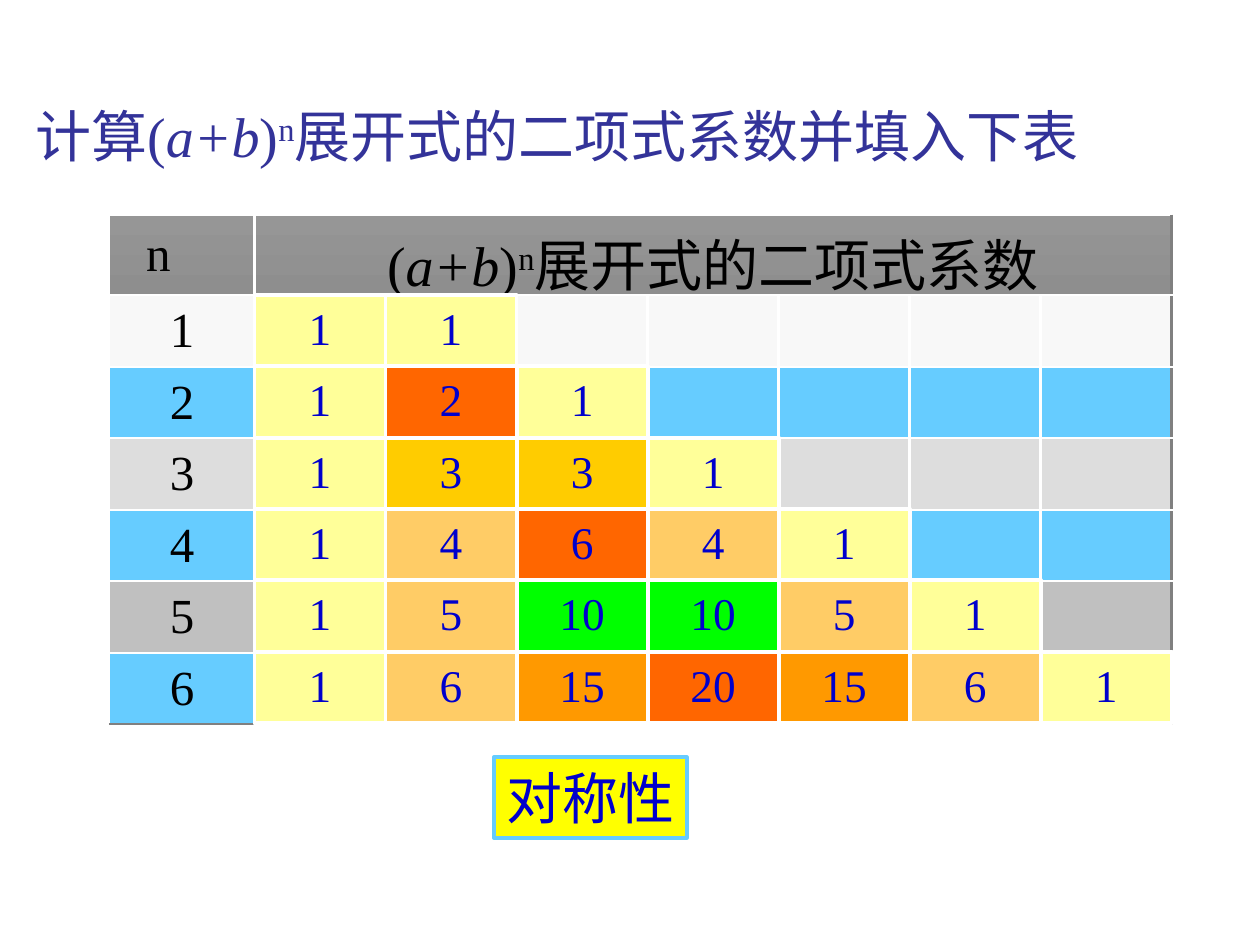
"""Build a slide that tabulates the binomial coefficients of (a+b)^n."""
import math

import pptx
import pptx.dml.color
import pptx.enum.shapes
import pptx.enum.text
import pptx.oxml
import pptx.oxml.ns
import pptx.util

THEME = {
    "font": "Times New Roman",
    "title": "333399", "ink": "000000", "number": "0000CC",
    "white": "FFFFFF", "frame": "808080", "blue": "66CCFF", "note": "FFFF00",
    "header": ("969696", "8E8E8E"),
    "title_size": 32, "index_size": 28, "number_size": 25.9,
    "border": 1.47, "outline": 2.25,
}
POWER = (("(", None), ("a+b", "italic"), (")", None), ("n", "raised"))
TITLE = (("计算", None),) + POWER + (("展开式的二项式系数并填入下表", None),)
HEADING = POWER + (("展开式的二项式系数", None),)
NOTE = (("对称性", None),)
ROW_FILLS = ("F8F8F8", "66CCFF", "DDDDDD", "66CCFF", "C0C0C0", "66CCFF")
HALF_ROW_COLOURS = {
    1: ("FFFF99",),
    2: ("FFFF99", "FF6600"),
    3: ("FFFF99", "FFCC00"),
    4: ("FFFF99", "FFCC66", "FF6600"),
    5: ("FFFF99", "FFCC66", "00FF00"),
    6: ("FFFF99", "FFCC66", "FF9900", "FF6600"),
}
LEFT, TOP = 0.87, 1.71
INDEX_WIDTH, COLUMN_WIDTH, COLUMNS = 1.15, 1.04, 7
HEADER_HEIGHT, BODY_HEIGHT = 0.63, 3.4
ROWS = len(ROW_FILLS)
ROW_HEIGHT = BODY_HEIGHT / ROWS
CENTER = pptx.enum.text.PP_ALIGN.CENTER
MIDDLE = pptx.enum.text.MSO_ANCHOR.MIDDLE
RECTANGLE = pptx.enum.shapes.MSO_SHAPE.RECTANGLE


def inches(*lengths):
    return [pptx.util.Inches(length) for length in lengths]


def rgb(value):
    return pptx.dml.color.RGBColor.from_string(value)


def write(frame, spans, size, colour, align=None):
    para = frame.paragraphs[0]
    para.alignment = align
    para.font.name = THEME["font"]
    para.font.size = pptx.util.Pt(size)
    para.font.color.rgb = rgb(colour)
    for text, style in spans:
        span = para.add_run()
        span.text = text
        if style == "italic":
            span.font.italic = True
        elif style == "raised":
            span._r.get_or_add_rPr().set("baseline", "30000")
    return para


def add_box(shapes, place, fill, line):
    box = shapes.add_shape(RECTANGLE, *inches(*place))
    box.shadow.inherit = False
    box.fill.solid()
    box.fill.fore_color.rgb = rgb(fill)
    box.line.color.rgb = rgb(line)
    box.line.width = pptx.util.Pt(THEME["outline"])
    return box


def set_borders(cell, row, column):
    sides = {"R": "frame" if column == COLUMNS else "white",
             "B": "frame" if row == ROWS else "white"}
    if row:
        sides["T"] = "white"
    if column:
        sides["L"] = "white"
    width = pptx.util.Pt(THEME["border"])
    for side in (name for name in "LRTB" if name in sides):
        cell._tc.get_or_add_tcPr().append(pptx.oxml.parse_xml(
            f'<a:ln{side} {pptx.oxml.ns.nsdecls("a")} w="{width}"><a:solidFill>'
            f'<a:srgbClr val="{THEME[sides[side]]}"/></a:solidFill></a:ln{side}>'))


def set_fill(cell, row):
    if row:
        cell.fill.solid()
        cell.fill.fore_color.rgb = rgb(ROW_FILLS[row - 1])
        return
    cell.fill.gradient()
    cell.fill.gradient_angle = 270
    for stop, colour in zip(cell.fill.gradient_stops, THEME["header"]):
        stop.color.rgb = rgb(colour)


def add_grid(page):
    width = INDEX_WIDTH + COLUMNS * COLUMN_WIDTH
    grid = page.shapes.add_table(ROWS + 1, COLUMNS + 1, *inches(
        LEFT, TOP, width, HEADER_HEIGHT + BODY_HEIGHT)).table
    grid.first_row = grid.horz_banding = False
    for column, track in enumerate(grid.columns):
        track.width = pptx.util.Inches(COLUMN_WIDTH if column else INDEX_WIDTH)
    for row, track in enumerate(grid.rows):
        track.height = pptx.util.Inches(ROW_HEIGHT if row else HEADER_HEIGHT)
        for column in range(COLUMNS + 1):
            cell = grid.cell(row, column)
            cell.vertical_anchor = MIDDLE
            last = COLUMNS if row == 0 and column else column
            set_borders(cell, row, last)
            set_fill(cell, row)
        index = grid.cell(row, 0)
        write(index.text_frame, ((str(row) if row else "n", None),),
              THEME["index_size"], THEME["ink"], CENTER if row else None)
    grid.cell(0, 0).margin_left = pptx.util.Inches(0.29)
    grid.cell(0, 1).merge(grid.cell(0, COLUMNS))
    write(grid.cell(0, 1).text_frame, HEADING, THEME["title_size"],
          THEME["ink"], CENTER)


def add_coefficients(page):
    for power in range(ROWS, 0, -1):
        group = page.shapes.add_group_shape()
        top = TOP + HEADER_HEIGHT + (power - 1) * ROW_HEIGHT
        for term in range(power, -1, -1):
            left = LEFT + INDEX_WIDTH + term * COLUMN_WIDTH
            colour = HALF_ROW_COLOURS[power][min(term, power - term)]
            box = add_box(group.shapes, (left, top, COLUMN_WIDTH, ROW_HEIGHT),
                          colour, THEME["white"])
            box.text_frame.vertical_anchor = MIDDLE
            para = write(box.text_frame, ((str(math.comb(power, term)), None),),
                         THEME["number_size"], THEME["number"], CENTER)
            para.line_spacing = 0.9


def main():
    deck = pptx.Presentation()
    deck.slide_width, deck.slide_height = inches(10, 7.5)
    page = deck.slides.add_slide(deck.slide_layouts[6])
    title = page.shapes.add_textbox(*inches(0.18, 0.76, 8.7, 0.64))
    title.text_frame.word_wrap = False
    write(title.text_frame, TITLE, THEME["title_size"], THEME["title"])
    add_grid(page)
    add_coefficients(page)
    note = add_box(page.shapes, (3.92, 6.01, 1.53, 0.64), THEME["note"], THEME["blue"])
    note.text_frame.word_wrap = False
    note.text_frame.vertical_anchor = pptx.enum.text.MSO_ANCHOR.TOP
    write(note.text_frame, NOTE, THEME["title_size"], THEME["number"],
          pptx.enum.text.PP_ALIGN.LEFT)
    deck.save("out.pptx")


if __name__ == "__main__":
    main()
